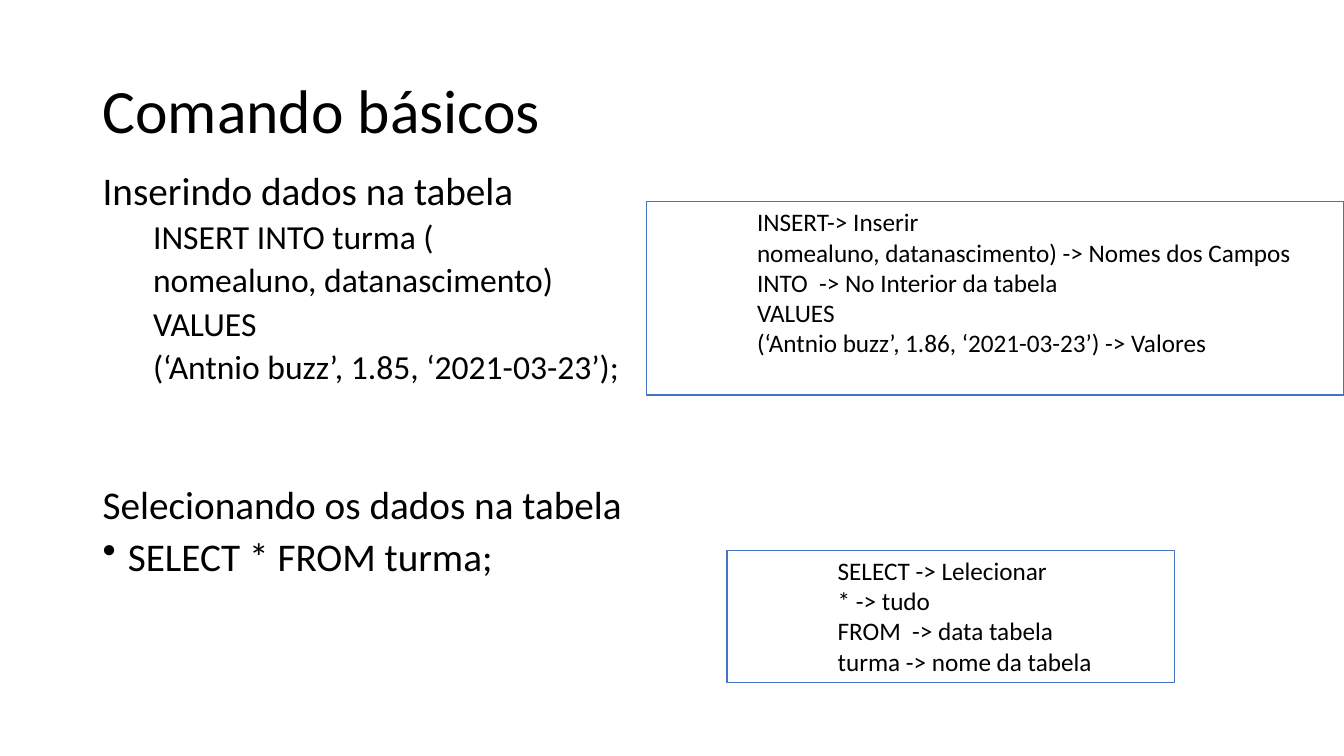
"""Build the slide on basic SQL commands for inserting and selecting data."""
import pptx
import pptx.dml.color
import pptx.enum.shapes
import pptx.enum.text
import pptx.util
from lxml import etree

Inches = pptx.util.Inches
Pt = pptx.util.Pt
BLACK = pptx.dml.color.RGBColor(0x00, 0x00, 0x00)
WHITE = pptx.dml.color.RGBColor(0xFF, 0xFF, 0xFF)
BLUE = pptx.dml.color.RGBColor(0x44, 0x72, 0xC4)
FONT = "Calibri"

HEADING = dict(size=28, before=10)
CODE = dict(size=24, before=5, indent=0.5)
NOTE = dict(size=18, spacing=1.0, indent=1)
SELECT = dict(HEADING, spacing=0.8)

TITLE = [("Comando básicos", dict(size=44))]
INSERT_COMMAND = [
    ("Inserindo dados na tabela", HEADING),
    ("INSERT INTO turma (", CODE),
    ("nomealuno, datanascimento)", CODE),
    ("VALUES", CODE),
    ("(‘Antnio buzz’, 1.85, ‘2021-03-23’);", CODE),
]
INSERT_NOTES = [
    ("INSERT-> Inserir", NOTE),
    ("nomealuno, datanascimento) -> Nomes dos Campos", NOTE),
    ("INTO  -> No Interior da tabela", NOTE),
    ("VALUES", NOTE),
    ("(‘Antnio buzz’, 1.86, ‘2021-03-23’) -> Valores", NOTE),
]
SELECT_COMMAND = [
    ("Selecionando os dados na tabela", SELECT),
    ("SELECT * FROM turma;", dict(SELECT, indent=0.25, bullet="•")),
]
SELECT_NOTES = [
    ("SELECT -> Lelecionar", NOTE),
    ("* -> tudo", NOTE),
    ("FROM  -> data tabela", NOTE),
    ("turma -> nome da tabela", NOTE),
]

TOP = pptx.enum.text.MSO_ANCHOR.TOP
MIDDLE = pptx.enum.text.MSO_ANCHOR.MIDDLE
BLOCKS = [
    (TITLE, (0.92, 0.4, 11.5, 1.45), MIDDLE, False),
    (INSERT_COMMAND, (0.92, 1.65, 9.83, 2.76), TOP, False),
    (INSERT_NOTES, (6.41, 2, 6.92, 1.92), TOP, True),
    (SELECT_COMMAND, (0.92, 4.81, 6.51, 1.04), TOP, False),
    (SELECT_NOTES, (7.21, 5.46, 4.44, 1.31), TOP, True),
]


def write_line(text, paragraph, size, before=0, spacing=0.9, indent=0, bullet=None):
    paragraph.alignment = pptx.enum.text.PP_ALIGN.LEFT
    paragraph.line_spacing = spacing
    paragraph.space_before = Pt(before)
    run = paragraph.add_run()
    run.text = text
    run.font.size = Pt(size)
    run.font.name = FONT
    run.font.color.rgb = BLACK
    properties = paragraph._p.get_or_add_pPr()
    properties.set("marL", str(Inches(indent)))
    properties.set("indent", str(-Inches(indent) if bullet else 0))
    if bullet:
        mark = etree.SubElement(properties, pptx.oxml.ns.qn("a:buChar"))
        mark.set("char", bullet)


def add_block(slide, lines, place, anchor, framed):
    area = [Inches(length) for length in place]
    if framed:
        block = slide.shapes.add_shape(pptx.enum.shapes.MSO_SHAPE.RECTANGLE, *area)
        block.shadow.inherit = False
        block.fill.solid()
        block.fill.fore_color.rgb = WHITE
        block.line.color.rgb = BLUE
        block.line.width = Pt(1)
    else:
        block = slide.shapes.add_textbox(*area)
    frame = block.text_frame
    frame.word_wrap = True
    frame.vertical_anchor = anchor
    for number, (text, style) in enumerate(lines):
        paragraph = frame.add_paragraph() if number else frame.paragraphs[0]
        write_line(text, paragraph, **style)


def main():
    deck = pptx.Presentation()
    deck.slide_width = Inches(13.33)
    deck.slide_height = Inches(7.5)
    slide = deck.slides.add_slide(deck.slide_layouts[6])
    for block in BLOCKS:
        add_block(slide, *block)
    deck.save("out.pptx")


if __name__ == "__main__":
    main()
